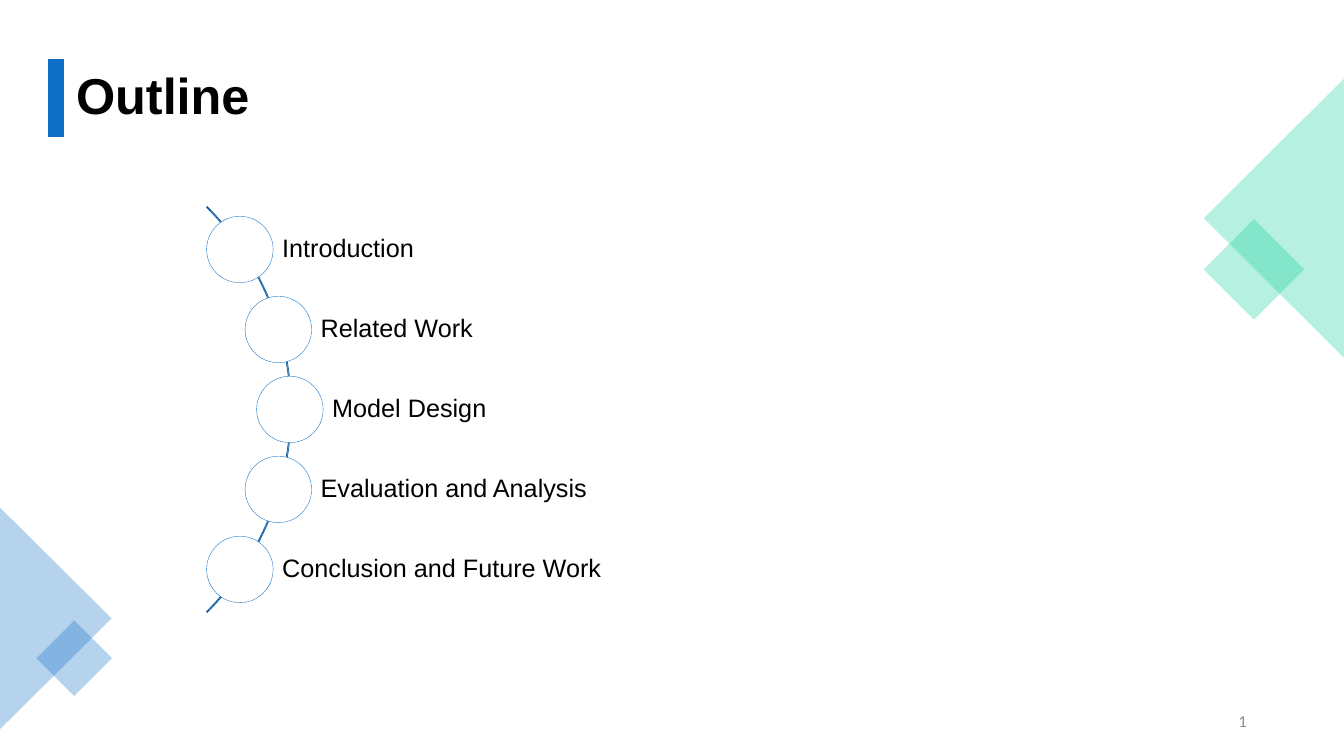
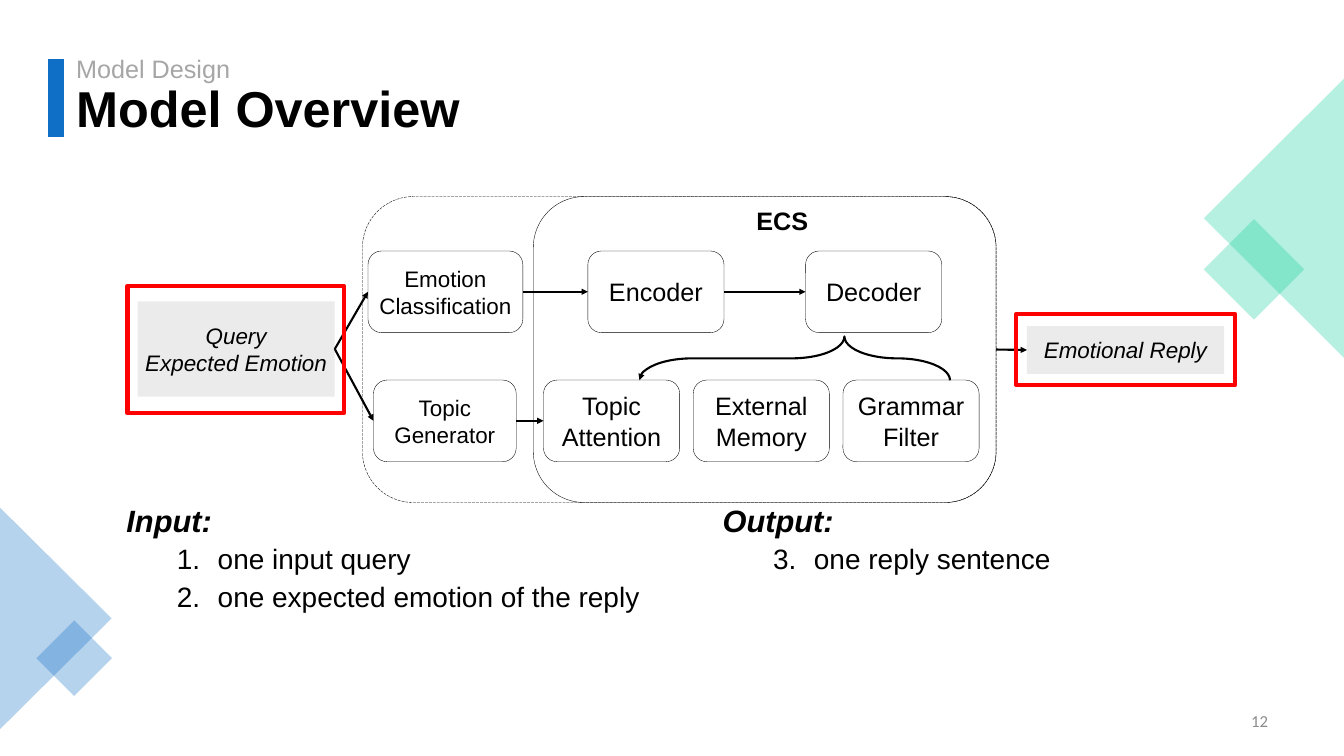
"""Build the outline and model overview slides of a talk on emotional replies."""
from dataclasses import dataclass

from lxml.etree import SubElement
from pptx import Presentation
from pptx.dml.color import RGBColor
from pptx.enum.dml import MSO_LINE
from pptx.enum.shapes import MSO_CONNECTOR, MSO_SHAPE
from pptx.enum.text import MSO_ANCHOR, PP_ALIGN
from pptx.oxml.ns import qn
from pptx.util import Inches, Pt


@dataclass(frozen=True)
class Theme:
    blue: str = "0F6FC6"
    dark_blue: str = "0C599F"
    green: str = "10CF9B"
    white: str = "FFFFFF"
    black: str = "000000"
    red: str = "FF0000"
    panel: str = "D9D9D9"
    section: str = "A6A6A6"
    number: str = "8C8C8C"
    font: str = "Arial"
    number_font: str = "Calibri"
    title_size: int = 72
    heading_size: int = 44
    list_size: int = 40
    label_size: int = 36
    small_size: int = 32
    number_size: int = 24
    hairline: float = 0.5
    thin: float = 1
    arrow: float = 3
    highlight: float = 6


THEME = Theme()
deck = Presentation()
deck.slide_width, deck.slide_height = Inches(26.66), Inches(15)
COLUMN, ROW = deck.slide_width / 100, deck.slide_height / 100


def draw(slide, kind, left, top, width, height, fill=None, opacity=100,
         line=None, weight=THEME.hairline, turn=0):
    """Place a shape, or a text box when kind is None, on the 100 x 100 grid."""
    box = [int(left * COLUMN), int(top * ROW), int(width * COLUMN), int(height * ROW)]
    if kind is None:
        part = slide.shapes.add_textbox(*box)
    else:
        part = slide.shapes.add_shape(kind, *box)
        part.shadow.inherit = False
        part.rotation = turn
        if fill:
            part.fill.solid()
            part.fill.fore_color.rgb = RGBColor.from_string(fill)
            if opacity < 100:
                color = part._element.spPr.find(qn("a:solidFill"))[0]
                SubElement(color, qn("a:alpha"), val=str(opacity * 1000))
        else:
            part.fill.background()
        if line:
            part.line.color.rgb = RGBColor.from_string(line)
            part.line.width = Pt(weight)
        else:
            part.line.fill.background()
    part.text_frame.word_wrap = True
    part.text_frame.vertical_anchor = MSO_ANCHOR.MIDDLE
    return part


def write(paragraph, text, size, color=THEME.black, bold=False, italic=False,
          font=THEME.font, align=PP_ALIGN.LEFT):
    """Add one styled run to a paragraph."""
    paragraph.alignment = align
    run = paragraph.add_run()
    run.text = text
    run.font.name, run.font.size = font, Pt(size)
    run.font.bold, run.font.italic = bold, italic
    run.font.color.rgb = RGBColor.from_string(color)


DECORATIONS = [
    (MSO_SHAPE.RECTANGLE, 90.66, 30.93, 5.29, 9.4, THEME.green, 45),
    (MSO_SHAPE.ISOSCELES_TRIANGLE, 84.4, 19.6, 20.78, 18.53, THEME.green, 270),
    (MSO_SHAPE.ISOSCELES_TRIANGLE, -4.13, 74.4, 16.54, 14.8, THEME.blue, 90),
    (MSO_SHAPE.RECTANGLE, 3.53, 83.53, 3.98, 7.07, THEME.blue, 45),
]
PAGES = [
    (None, "Outline", "1", 70.63),
    ("Model Design", "Model Overview", "12", 72.21),
]
slides = []
for section, title, number, number_left in PAGES:
    slide = deck.slides.add_slide(deck.slide_layouts[6])
    slides.append(slide)
    heading = draw(slide, None, 5.29, 4.67, 89.46, 16.53).text_frame.paragraphs[0]
    heading.line_spacing = 0.9
    if section:
        write(heading, section, THEME.label_size, THEME.section)
        heading.add_line_break()
    write(heading, title, THEME.title_size, bold=True)
    for kind, left, top, width, height, color, turn in DECORATIONS:
        draw(slide, kind, left, top, width, height, color, 30, turn=turn)
    draw(slide, MSO_SHAPE.RECTANGLE, 3.53, 7.73, 1.24, 10.47, THEME.blue,
         line=THEME.white, weight=THEME.thin)
    footer = draw(slide, None, number_left, 92.67, 22.51, 5.33)
    write(footer.text_frame.paragraphs[0], number, THEME.number_size, THEME.number,
          font=THEME.number_font, align=PP_ALIGN.RIGHT)
outline, overview = slides

arc = draw(outline, MSO_SHAPE.BLOCK_ARC, -21.04, 16.2, 42.72, 75.93,
           line=THEME.dark_blue, weight=THEME.thin)
for index, value in enumerate((189, 27, 0.002)):
    arc.adjustments[index] = value

TOPICS = [
    ("Introduction", 17.85),
    ("Related Work", 20.71),
    ("Model Design", 21.57),
    ("Evaluation and Analysis", 20.71),
    ("Conclusion and Future Work", 17.85),
]
BAR_RIGHT, BAR_HEIGHT = 84.62, 7.07
DOT_WIDTH, DOT_HEIGHT = 4.95, 8.8
for index, (topic, center) in enumerate(TOPICS):
    middle = 33 + index * 10.58
    bar = draw(outline, MSO_SHAPE.RECTANGLE, center, middle - BAR_HEIGHT / 2,
               BAR_RIGHT - center, BAR_HEIGHT, THEME.white)
    bar.text_frame.margin_left = int(3.15 * COLUMN)
    bar.text_frame.paragraphs[0].line_spacing = 0.9
    write(bar.text_frame.paragraphs[0], topic, THEME.label_size)
    draw(outline, MSO_SHAPE.OVAL, center - DOT_WIDTH / 2, middle - DOT_HEIGHT / 2,
         DOT_WIDTH, DOT_HEIGHT, THEME.white, line=THEME.blue)

LISTS = [
    ("Input:", 1, ["one input query", "one expected emotion of the reply"]),
    ("Output:", 3, ["one reply sentence"]),
]
LIST_WIDTH = 44.73
for index, (label, start, items) in enumerate(LISTS):
    frame = draw(overview, None, 5.29 + index * 44.36, 66.53, LIST_WIDTH, 23.53).text_frame
    frame.vertical_anchor = MSO_ANCHOR.TOP
    lead = frame.paragraphs[0]
    write(lead, label, THEME.heading_size, bold=True, italic=True)
    lead._p.get_or_add_pPr().set("marL", str(int(3.75 * COLUMN)))
    for item in items:
        entry = frame.add_paragraph()
        write(entry, item, THEME.list_size)
        properties = entry._p.get_or_add_pPr()
        properties.set("marL", str(int(10.54 * COLUMN)))
        properties.set("indent", str(int(-3.04 * COLUMN)))
    for paragraph in frame.paragraphs:
        paragraph.line_spacing = 0.9
        paragraph.space_before = Pt(10)
    for entry in frame.paragraphs[1:]:
        SubElement(entry._p.pPr, qn("a:buFont"), typeface=THEME.font)
        SubElement(entry._p.pPr, qn("a:buAutoNum"), type="arabicPeriod", startAt=str(start))

FRAME_TOP, FRAME_HEIGHT = 26, 40.47
draw(overview, MSO_SHAPE.ROUNDED_RECTANGLE, 39.68, FRAME_TOP, 34.43, FRAME_HEIGHT,
     line=THEME.black)
system = draw(overview, MSO_SHAPE.ROUNDED_RECTANGLE, 26.97, FRAME_TOP, 47.15, FRAME_HEIGHT,
              line=THEME.black)
system.line.dash_style = MSO_LINE.LONG_DASH
system_name = draw(overview, None, 45.72, FRAME_TOP, 24.98, 6.27)
write(system_name.text_frame.paragraphs[0], "ECS", THEME.label_size, bold=True,
      align=PP_ALIGN.CENTER)

UPPER, LOWER, MODULE_WIDTH, MODULE_HEIGHT = 33.2, 50.27, 10.13, 10.8
MODULES = [
    ("Emotion\nClassification", 27.38, UPPER, 11.52, THEME.small_size),
    ("Encoder", 43.74, UPPER, MODULE_WIDTH, THEME.label_size),
    ("Decoder", 59.94, UPPER, MODULE_WIDTH, THEME.label_size),
    ("Topic Generator", 27.79, LOWER, 10.62, THEME.small_size),
] + [
    (name, 40.44 + index * 11.14, LOWER, MODULE_WIDTH, THEME.label_size)
    for index, name in enumerate(("Topic Attention", "External Memory", "Grammar Filter"))
]
nodes = {"System": system}
for name, left, top, width, size in MODULES:
    nodes[name] = draw(overview, MSO_SHAPE.ROUNDED_RECTANGLE, left, top, width,
                       MODULE_HEIGHT, line=THEME.black)
    frame = nodes[name].text_frame
    for index, text in enumerate(name.split("\n")):
        paragraph = frame.add_paragraph() if index else frame.paragraphs[0]
        write(paragraph, text, size, align=PP_ALIGN.CENTER)

ENDS = [
    ("Query\nExpected Emotion", 10.24, 39.87, 12.6),
    ("Emotional Reply", 76.41, 43.13, 6.33),
]
for name, left, top, height in ENDS:
    nodes[name] = draw(overview, MSO_SHAPE.RECTANGLE, left, top, 14.67, height,
                       THEME.panel, 50)
    frame = nodes[name].text_frame
    for index, text in enumerate(name.split("\n")):
        paragraph = frame.add_paragraph() if index else frame.paragraphs[0]
        write(paragraph, text, THEME.small_size, italic=True, align=PP_ALIGN.CENTER)

brace = draw(overview, MSO_SHAPE.RIGHT_BRACE, 57.5, 26.87, 3.26, 41.07,
             line=THEME.black, weight=THEME.arrow, turn=270)
brace.adjustments[0], brace.adjustments[1] = 1.3, 0.34
brace._element.spPr.get_or_add_xfrm().set("flipV", "1")
arrows = [brace]

FLOWS = [
    ("Query\nExpected Emotion", "Emotion\nClassification"),
    ("Query\nExpected Emotion", "Topic Generator"),
    ("Emotion\nClassification", "Encoder"),
    ("Encoder", "Decoder"),
    ("Topic Generator", "Topic Attention"),
    ("System", "Emotional Reply"),
]
for source, target in FLOWS:
    flow = overview.shapes.add_connector(MSO_CONNECTOR.STRAIGHT, 0, 0, 0, 0)
    flow.begin_connect(nodes[source], 3)
    flow.end_connect(nodes[target], 1)
    flow.line.color.rgb = RGBColor.from_string(THEME.black)
    flow.line.width = Pt(THEME.arrow)
    SubElement(flow._element.spPr, qn("a:effectLst"))
    arrows.append(flow)
for arrow in arrows:
    SubElement(arrow._element.spPr.find(qn("a:ln")), qn("a:tailEnd"), type="triangle")

for left, top, width, height in ((9.49, 37.8, 16.09, 16.87), (75.62, 41.53, 16.28, 9.4)):
    draw(overview, MSO_SHAPE.RECTANGLE, left, top, width, height,
         line=THEME.red, weight=THEME.highlight)

deck.save("out.pptx")
